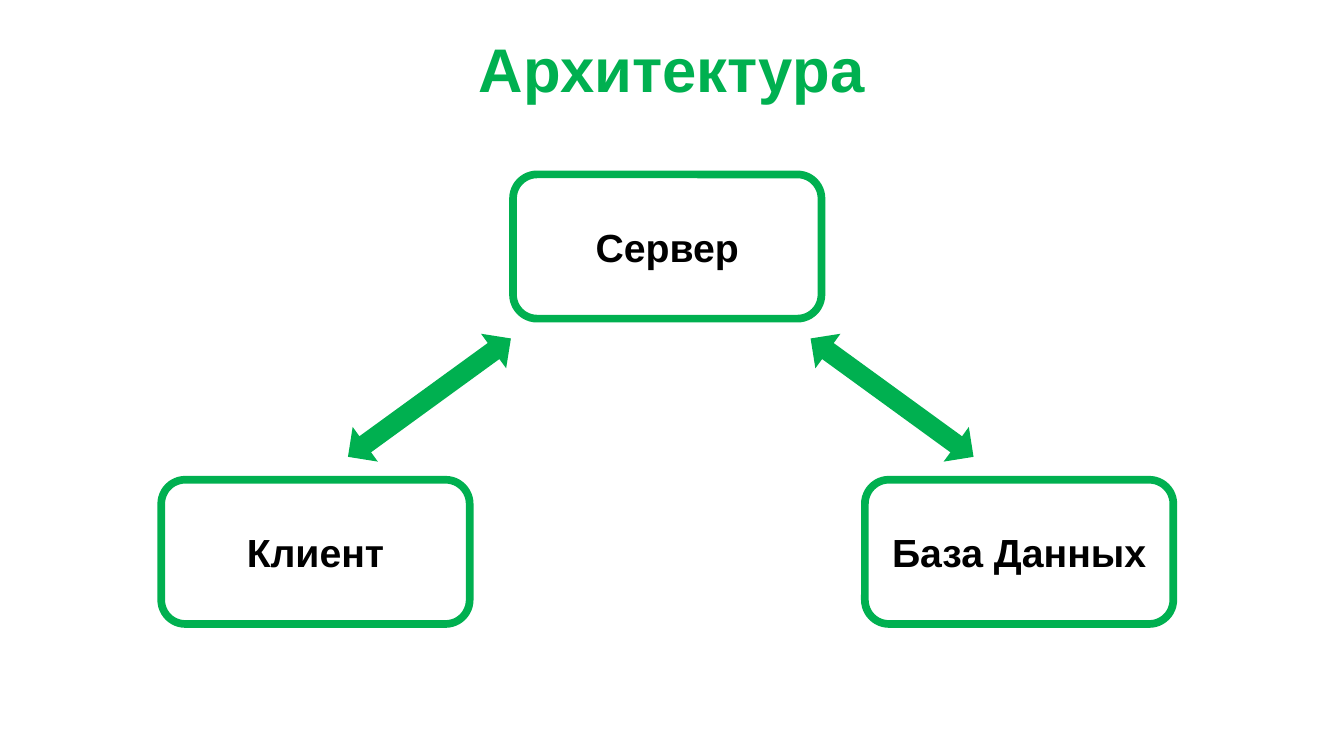
"""Build the architecture slide: a server linked to a client and a database."""
from dataclasses import dataclass

from lxml.etree import SubElement
from pptx import Presentation
from pptx.dml.color import RGBColor
from pptx.enum.shapes import MSO_SHAPE as Preset
from pptx.enum.text import MSO_ANCHOR as Anchor, MSO_AUTO_SIZE as AutoSize, PP_ALIGN as Align
from pptx.oxml.ns import qn
from pptx.shapes.autoshape import Shape
from pptx.slide import Slide
from pptx.text.text import TextFrame
from pptx.util import Pt

COLORS = {"green": "00B050", "white": "FFFFFF", "black": "000000"}
FONT = "Arial"
OUTLINE = 5.5
NODE_WIDTH, NODE_HEIGHT = 220.3, 103
FIRST_COLUMN, COLUMN_STEP = 115.2, 251.3
UPPER_ROW, LOWER_ROW = 124.6, 342.7
ARROW_TOP, ARROW_WIDTH, ARROW_LENGTH = 216, 17.3, 136.1


@dataclass
class Node:
    label: str
    column: int
    top: float


@dataclass
class Link:
    left: float
    rotation: float


NODES = [
    Node("Клиент", 0, LOWER_ROW),
    Node("Сервер", 1, UPPER_ROW),
    Node("База Данных", 2, LOWER_ROW),
]
LINKS = [Link(298.1, 54), Link(628.6, 306)]


def color(name: str) -> RGBColor:
    return RGBColor.from_string(COLORS[name])


def write(frame: TextFrame, text: str, size: float, ink: str) -> None:
    paragraph = frame.paragraphs[0]
    paragraph.text = text
    paragraph.alignment = Align.CENTER
    font = paragraph.font
    font.name, font.size, font.bold = FONT, Pt(size), True
    font.color.rgb = color(ink)


def paint(shape: Shape, fill: str) -> None:
    shape.shadow.inherit = False
    shape.fill.solid()
    shape.fill.fore_color.rgb = color(fill)
    shape.line.color.rgb = color("green")
    shape.line.width = Pt(OUTLINE)
    outline = shape._element.spPr.find(qn("a:ln"))
    SubElement(outline, qn("a:miter"), lim="800000")


def draw_title(slide: Slide, text: str) -> None:
    title = slide.shapes.add_textbox(Pt(331.2), Pt(18.7), Pt(297.4), Pt(60.5))
    title.text_frame.word_wrap = False
    title.text_frame.auto_size = AutoSize.SHAPE_TO_FIT_TEXT
    write(title.text_frame, text, 44, "green")


def draw_node(slide: Slide, node: Node) -> None:
    left = FIRST_COLUMN + node.column * COLUMN_STEP
    box = slide.shapes.add_shape(
        Preset.ROUNDED_RECTANGLE, Pt(left), Pt(node.top), Pt(NODE_WIDTH), Pt(NODE_HEIGHT)
    )
    paint(box, "white")
    box.text_frame.word_wrap = True
    box.text_frame.vertical_anchor = Anchor.MIDDLE
    write(box.text_frame, node.label, 28, "black")


def draw_link(slide: Slide, link: Link) -> None:
    arrow = slide.shapes.add_shape(
        Preset.UP_DOWN_ARROW, Pt(link.left), Pt(ARROW_TOP), Pt(ARROW_WIDTH), Pt(ARROW_LENGTH)
    )
    arrow.rotation = link.rotation
    paint(arrow, "green")


def main() -> None:
    deck = Presentation()
    deck.slide_width, deck.slide_height = Pt(960), Pt(540)
    slide = deck.slides.add_slide(deck.slide_layouts[6])
    draw_title(slide, "Архитектура")
    for node in NODES:
        draw_node(slide, node)
    for link in LINKS:
        draw_link(slide, link)
    deck.save("out.pptx")


if __name__ == "__main__":
    main()
